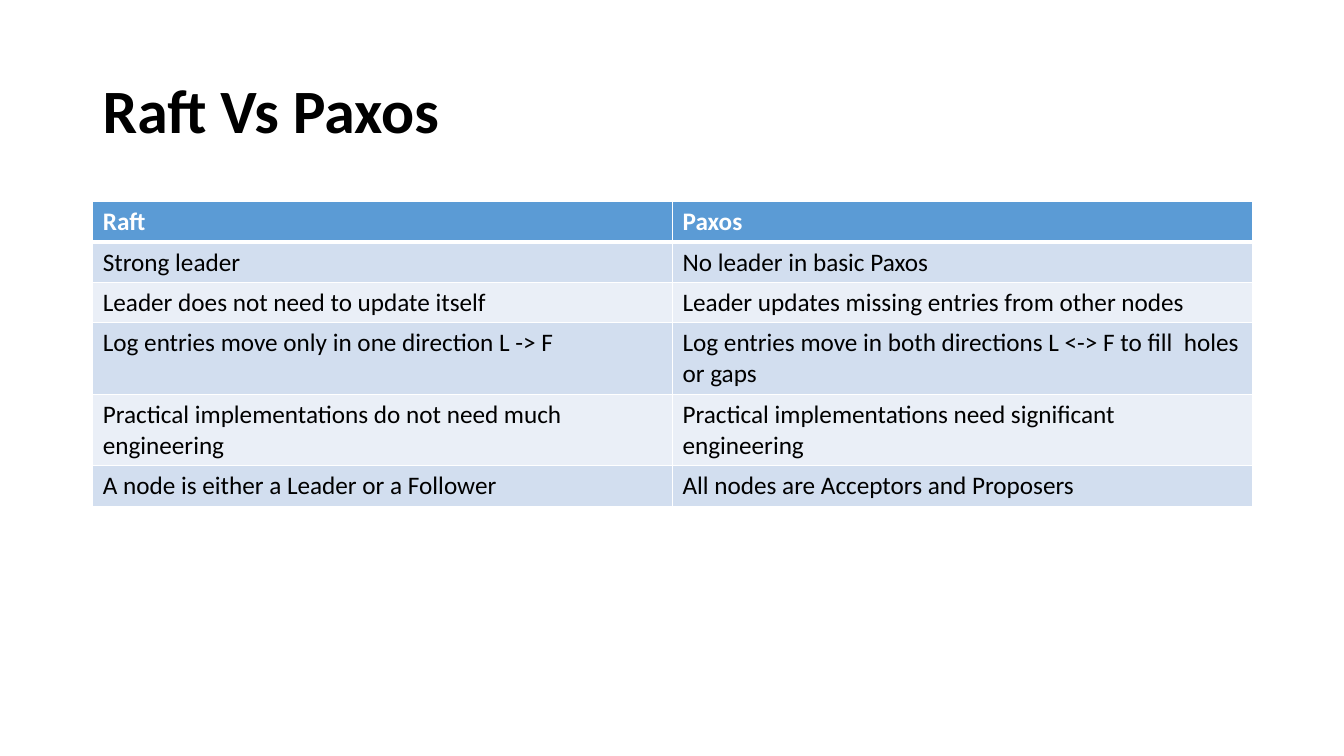
"""Build the slide that compares Raft with Paxos in a table."""
from dataclasses import dataclass

from lxml.etree import SubElement
from pptx import Presentation
from pptx.dml.color import RGBColor
from pptx.enum.text import MSO_ANCHOR
from pptx.oxml.ns import qn
from pptx.util import Inches, Pt

COLORS = {
    "text": "000000",
    "header": "5B9BD5",
    "odd": "D2DEEF",
    "even": "EAEFF7",
    "white": "FFFFFF",
}
FONT = "Calibri"
LEFT, WIDTH = 0.92, 11.5


@dataclass(frozen=True)
class Comparison:
    raft: str
    paxos: str
    height: float = 0.4


COMPARISONS = [
    Comparison("Raft", "Paxos"),
    Comparison("Strong leader", "No leader in basic Paxos"),
    Comparison("Leader does not need to update itself",
               "Leader updates missing entries from other nodes"),
    Comparison("Log entries move only in one direction L -> F",
               "Log entries move in both directions L <-> F to fill  holes or gaps", 0.71),
    Comparison("Practical implementations do not need much engineering",
               "Practical implementations need significant engineering", 0.71),
    Comparison("A node is either a Leader or a Follower",
               "All nodes are Acceptors and Proposers"),
]


def write(frame, text: str, *, size: float, color: str, bold: bool = False,
          line_spacing: float = 1.0) -> None:
    para = frame.paragraphs[0]
    para.line_spacing = line_spacing
    span = para.add_run()
    span.text = text
    span.font.name = FONT
    span.font.size = Pt(size)
    span.font.bold = bold
    span.font.color.rgb = RGBColor.from_string(COLORS[color])


def add_borders(cell, widths: dict[str, float]) -> None:
    properties = cell._tc.get_or_add_tcPr()
    for side, width in widths.items():
        line = SubElement(properties, qn(f"a:ln{side}"), w=str(Pt(width)))
        fill = SubElement(line, qn("a:solidFill"))
        SubElement(fill, qn("a:srgbClr"), val=COLORS["white"])


def add_title(page, text: str) -> None:
    box = page.shapes.add_textbox(Inches(LEFT), Inches(0.4), Inches(WIDTH), Inches(1.45))
    frame = box.text_frame
    frame.word_wrap = True
    frame.vertical_anchor = MSO_ANCHOR.MIDDLE
    write(frame, text, size=44, color="text", bold=True, line_spacing=0.9)


def add_comparison_table(page, comparisons: list[Comparison]) -> None:
    total_height = sum(comparison.height for comparison in comparisons)
    table = page.shapes.add_table(len(comparisons), 2, Inches(LEFT), Inches(2),
                                  Inches(WIDTH), Inches(total_height)).table
    for index, comparison in enumerate(comparisons):
        table.rows[index].height = Inches(comparison.height)
        header = index == 0
        band = "header" if header else ("odd" if index % 2 else "even")
        widths = {"L": 1, "R": 1, "T": 3 if index == 1 else 1, "B": 3 if header else 1}
        for column, text in enumerate((comparison.raft, comparison.paxos)):
            cell = table.cell(index, column)
            add_borders(cell, widths)
            cell.fill.solid()
            cell.fill.fore_color.rgb = RGBColor.from_string(COLORS[band])
            write(cell.text_frame, text, size=18,
                  color="white" if header else "text", bold=header)


def main() -> None:
    deck = Presentation()
    deck.slide_width, deck.slide_height = Inches(13.33), Inches(7.5)
    page = deck.slides.add_slide(deck.slide_layouts[6])
    add_title(page, "Raft Vs Paxos")
    add_comparison_table(page, COMPARISONS)
    deck.save("out.pptx")


if __name__ == "__main__":
    main()
